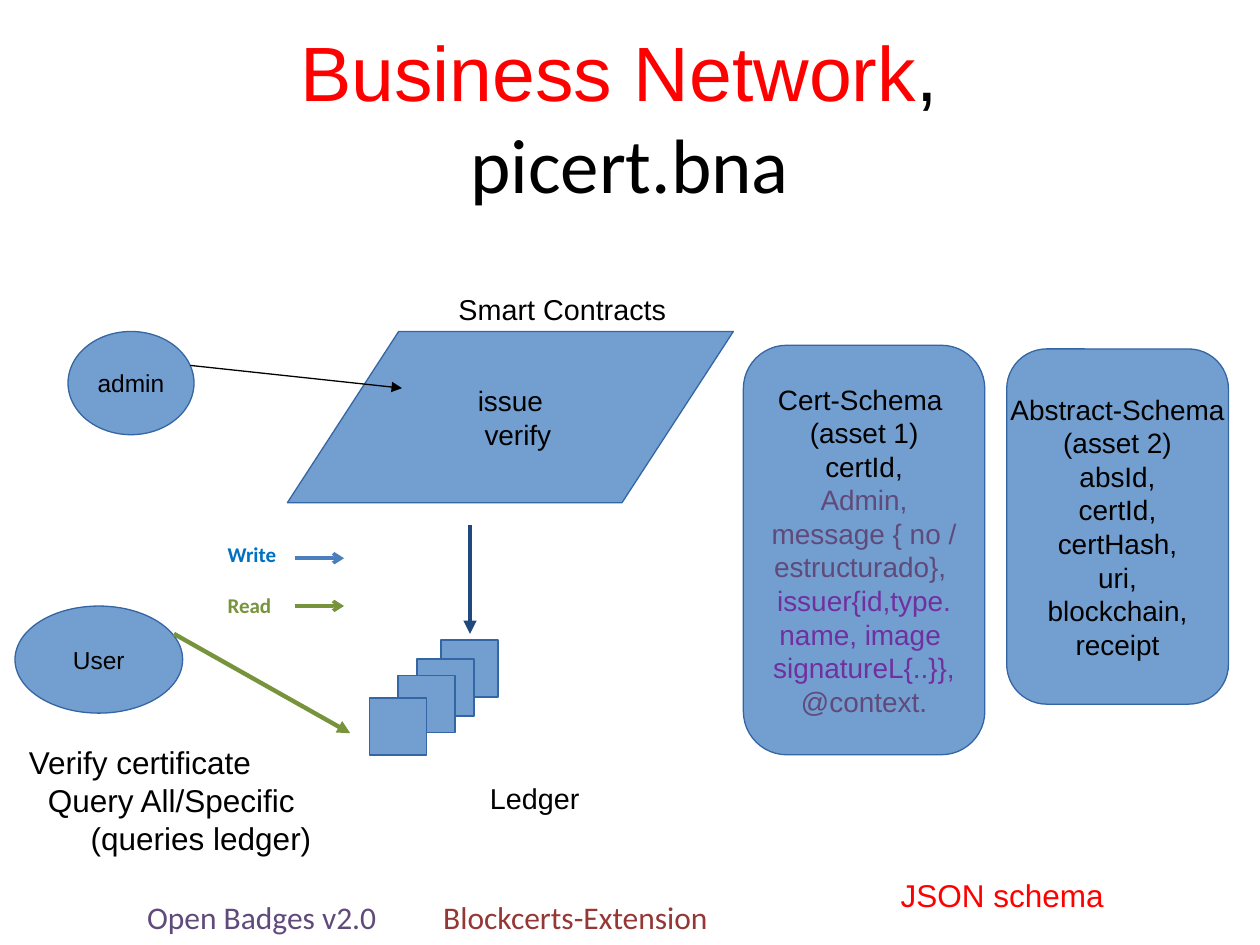
from lxml import etree
from pptx import Presentation
from pptx.dml.color import RGBColor
from pptx.enum import shapes, text
from pptx.oxml import ns
from pptx.util import Pt

COLORS = {
    "black": "000000", "red": "FF0000", "fill": "729FCF", "outline": "3465A4",
    "navy": "1F497D", "green": "77933C", "blue": "4B7EBC", "write": "0070C0",
    "plum": "604A7B", "violet": "7030A0", "maroon": "953735",
}
LEFT, CENTER = text.PP_ALIGN.LEFT, text.PP_ALIGN.CENTER
TOP, MIDDLE = text.MSO_ANCHOR.TOP, text.MSO_ANCHOR.MIDDLE
KIND = shapes.MSO_SHAPE


def rgb(name):
    return RGBColor.from_string(COLORS[name])


def add_span(para, words, size, color="black", font="Arial", bold=False):
    span = para.add_run()
    span.text = words
    span.font.size = Pt(size)
    span.font.name = font
    span.font.bold = bold
    span.font.color.rgb = rgb(color)


def set_frame(frame, anchor, wrap, inset=(7.2, 3.6)):
    frame.word_wrap = wrap
    frame.vertical_anchor = anchor
    frame.margin_left = frame.margin_right = Pt(inset[0])
    frame.margin_top = frame.margin_bottom = Pt(inset[1])


def next_para(frame, first, align, indent=0):
    para = frame.paragraphs[0] if first else frame.add_paragraph()
    para.alignment = align
    if indent:
        para._p.get_or_add_pPr().set("marL", str(Pt(indent)))
    return para


def add_label(page, place, words, size, color="black", font="Arial"):
    box = page.shapes.add_textbox(*map(Pt, place))
    set_frame(box.text_frame, TOP, True)
    add_span(next_para(box.text_frame, True, LEFT), words, size, color, font)


def add_node(page, kind, place, lines=(), size=16, wrap=False, adjust=None):
    node = page.shapes.add_shape(kind, *map(Pt, place))
    node.shadow.inherit = False
    node.fill.solid()
    node.fill.fore_color.rgb = rgb("fill")
    node.line.color.rgb = rgb("outline")
    node.line.width = Pt(0.75)
    if adjust is not None:
        node.adjustments[0] = adjust
    set_frame(node.text_frame, MIDDLE, wrap)
    for index, (words, color, indent) in enumerate(lines):
        para = next_para(node.text_frame, index == 0, CENTER, indent)
        add_span(para, words, size, color)


def add_arrow(page, start, end, color, width, head="triangle"):
    arrow = page.shapes.add_connector(
        shapes.MSO_CONNECTOR.STRAIGHT, *map(Pt, (*start, *end)))
    arrow.line.color.rgb = rgb(color)
    arrow.line.width = Pt(width)
    etree.SubElement(arrow.line._get_or_add_ln(), ns.qn("a:tailEnd"), type=head)
    etree.SubElement(arrow._element.spPr, ns.qn("a:effectLst"))


def plain(*lines, color="black"):
    return [(words, color, 0) for words in lines]


def add_title(page):
    box = page.shapes.add_textbox(Pt(36), Pt(21.6), Pt(648), Pt(90))
    frame = box.text_frame
    set_frame(frame, MIDDLE, True, (0, 0))
    para = next_para(frame, True, CENTER)
    add_span(para, "Business Network", 44, "red")
    add_span(para, ", ", 44)
    add_span(next_para(frame, False, CENTER), "picert.bna", 44, font="Calibri")


def add_queries(page):
    box = page.shapes.add_textbox(Pt(9.4), Pt(421.2), Pt(177), Pt(94.3))
    set_frame(box.text_frame, TOP, True)
    lines = [("Verify certificate", LEFT, 0), ("Query All/Specific", CENTER, 0),
             ("(queries ledger)", CENTER, 34)]
    for index, (words, align, indent) in enumerate(lines):
        add_span(next_para(box.text_frame, index == 0, align, indent), words, 18)


def add_legend(page):
    box = page.shapes.add_textbox(Pt(123), Pt(306), Pt(102), Pt(51))
    set_frame(box.text_frame, TOP, True)
    rows = [("Write", "write", "blue", 319), ("Read", "green", "green", 346.3)]
    for index, (words, color, stroke, top) in enumerate(rows):
        para = next_para(box.text_frame, index == 0, LEFT)
        para.space_before = Pt(14.6 * index)
        add_span(para, words, 12, color, "Calibri", True)
        add_arrow(page, (168.5, top), (196.6, top), stroke, 2, "arrow")


def main():
    deck = Presentation()
    deck.slide_width, deck.slide_height = Pt(720), Pt(540)
    page = deck.slides.add_slide(deck.slide_layouts[6])

    add_title(page)
    add_node(page, KIND.OVAL, (38.9, 189.4, 72, 59), plain("admin"), 14)
    add_node(page, KIND.PARALLELOGRAM, (164.2, 189.4, 254.9, 97.9),
             [("issue", "black", 0), ("verify", "black", 8.6)],
             wrap=True, adjust=0.65)
    add_label(page, (254.9, 163.4, 170, 25.2), "Smart Contracts", 16.4)

    for left, top in [(252, 365.8), (238.3, 376.6), (227.5, 385.9), (211, 398.9)]:
        add_node(page, KIND.RECTANGLE, (left, top, 32.6, 32.6))
    add_label(page, (272.9, 442.8, 110.9, 25.2), "Ledger", 16.4)

    certificate = (
        plain("Cert-Schema ", "(asset 1)", "certId,")
        + plain("Admin,", "message { no /", "estructurado}, ", color="plum")
        + plain("issuer{id,type.", "name, image ", "signatureL{..}},", color="violet")
        + plain("@context.", color="plum"))
    add_node(page, KIND.ROUNDED_RECTANGLE, (424.8, 197.3, 138, 234),
             certificate, adjust=0.18)
    add_node(page, KIND.OVAL, (8.6, 346.3, 95.8, 61.2), plain("User"), 14)
    add_arrow(page, (268.6, 300.2), (268.6, 362.2), "navy", 2.5)
    add_arrow(page, (108.7, 208.8), (229.7, 221.8), "black", 0.75)
    add_arrow(page, (99.4, 362.2), (200.2, 419), "green", 2.5)

    add_label(page, (77, 509.8, 147, 28.8), "Open Badges v2.0", 18, "plum", "Calibri")
    add_label(page, (246.2, 509.8, 167, 28.8), "Blockcerts-Extension", 18,
              "maroon", "Calibri")
    add_queries(page)
    abstract = plain("Abstract-Schema", "(asset 2)", "absId,", "certId,",
                     "certHash,", "uri,", "blockchain,", "receipt")
    add_node(page, KIND.ROUNDED_RECTANGLE, (575.3, 199.4, 126.7, 203),
             abstract, adjust=0.18)
    add_legend(page)
    add_label(page, (507.6, 496.8, 151.2, 28.8), "JSON schema", 18, "red")

    deck.save("out.pptx")


if __name__ == "__main__":
    main()
